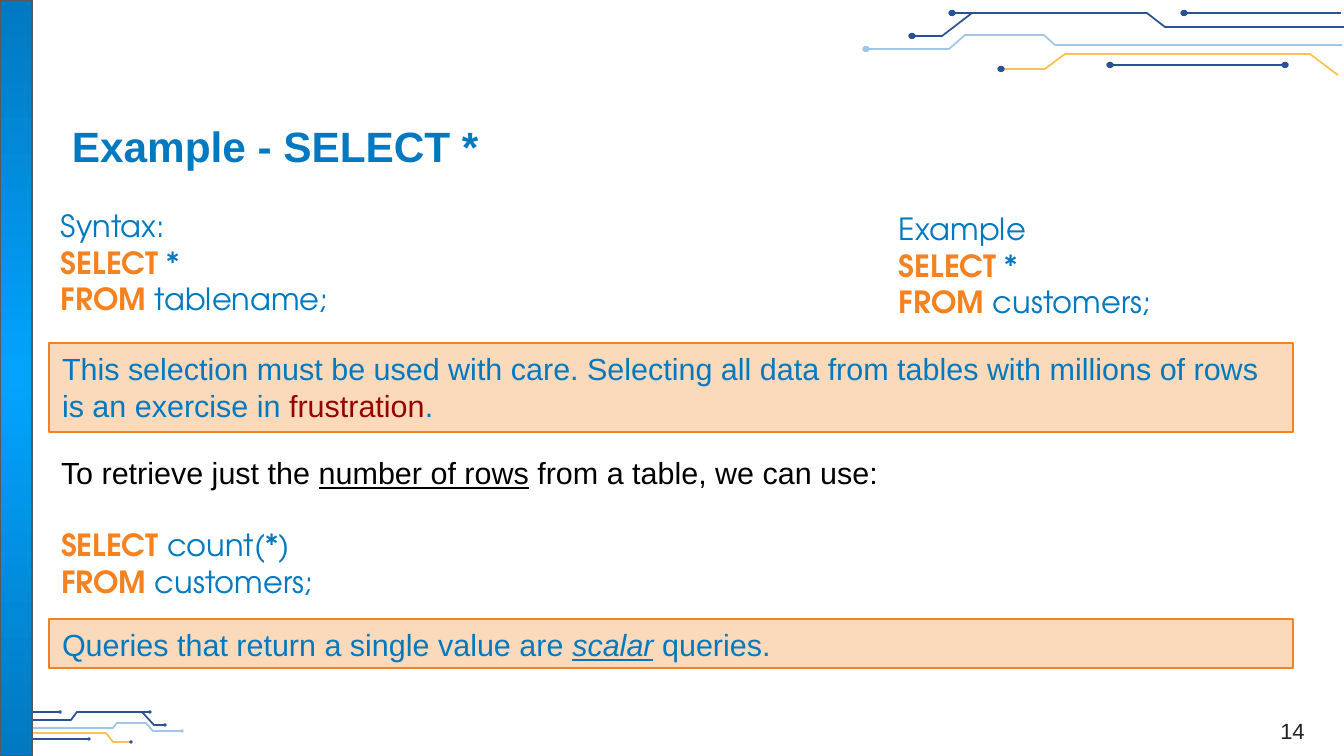
import pptx
import pptx.util
import pptx.dml.color
import pptx.enum.shapes
import pptx.enum.text
import pptx.oxml
import pptx.oxml.ns

PX = 7495  # EMU per px, 122 px to the inch
BLUE, ORANGE, RED, BLACK = "0079C0", "F58220", "980000", "000000"
NAVY, SKY, YELLOW = "285293", "9FC5E8", "FEC14F"
CODE_FONT = "TeX Gyre Adventor"
ANCHOR = pptx.enum.text.MSO_ANCHOR
ALIGN = pptx.enum.text.PP_ALIGN
SHAPE = pptx.enum.shapes.MSO_SHAPE

# Circuit traces: line colour, dot colour, points, dots at both ends or last only
TOP_TRACES = [
    (NAVY, NAVY, [(484, 27), (305, 27), (287, 13), (92, 13)], False),
    (NAVY, NAVY, [(112, 13), (82, 36), (52, 36)], False),
    (NAVY, NAVY, [(481, 13), (324, 13)], False),
    (YELLOW, NAVY, [(478, 75), (450, 54), (205, 54), (185, 69), (141, 69)], False),
    (NAVY, NAVY, [(425, 65), (250, 65)], True),
    (SKY, SKY, [(482, 45), (195, 45), (184, 35), (105, 35), (89, 49), (6, 49)], False),
]
BOTTOM_TRACES = [
    (NAVY, NAVY, [(4, 20), (71, 20), (77, 12), (150, 12)], False),
    (NAVY, NAVY, [(142, 12), (154, 25), (165, 25)], False),
    (NAVY, NAVY, [(0, 12), (60, 12)], False),
    (YELLOW, NAVY, [(1, 44), (12, 33), (106, 33), (113, 42), (131, 42)], False),
    (NAVY, NAVY, [(22, 39), (89, 39)], True),
    (SKY, SKY, [(9, 28), (113, 28), (117, 23), (146, 23), (153, 31), (182, 31)], False),
]


def px(*lengths):
    return [pptx.util.Emu(round(length * PX)) for length in lengths]


def rgb(value):
    return pptx.dml.color.RGBColor.from_string(value)


def set_line(shape, color, width):
    shape.line.color.rgb = rgb(color)
    shape.line.width = pptx.util.Pt(width)


def add_text(paragraph, text, size=18, font="Arial", color=BLUE,
             bold=False, italic=False, underline=False):
    run = paragraph.add_run()
    run.text = text
    run.font.size = pptx.util.Pt(size)
    run.font.name = font
    run.font.color.rgb = rgb(color)
    run.font.bold, run.font.italic, run.font.underline = bold, italic, underline


def set_frame(shape, inset_x, inset_y, anchor=ANCHOR.TOP):
    frame = shape.text_frame
    frame.word_wrap = True
    frame.vertical_anchor = anchor
    frame.margin_left, frame.margin_top = px(inset_x, inset_y)
    frame.margin_right, frame.margin_bottom = px(inset_x, inset_y)
    return frame


def add_text_box(slide, box, inset_x=12, inset_y=6, anchor=ANCHOR.TOP):
    return set_frame(slide.shapes.add_textbox(*px(*box)), inset_x, inset_y, anchor)


def add_circuit(slide, left, top, traces, dot_width, dot_height):
    for color, dot_color, points, both_ends in traces:
        points = [(left + x, top + y) for x, y in points]
        if len(points) == 2:
            trace = slide.shapes.add_connector(
                pptx.enum.shapes.MSO_CONNECTOR.STRAIGHT, *px(*points[0], *points[1]))
            properties = trace._element.spPr
        else:
            builder = slide.shapes.build_freeform(*points[0], scale=PX)
            builder.add_line_segments(points[1:], close=False)
            trace = builder.convert_to_shape()
            trace.fill.background()
            properties = trace._element.spPr
        set_line(trace, color, 1.03)
        properties.append(pptx.oxml.parse_xml(
            f'<a:effectLst {pptx.oxml.ns.nsdecls("a")}/>'))

        # Terminal dots
        for x, y in [points[0], points[-1]] if both_ends else points[-1:]:
            dot = slide.shapes.add_shape(SHAPE.OVAL, *px(
                x - dot_width / 2, y - dot_height / 2, dot_width, dot_height))
            dot.shadow.inherit = False
            dot.fill.solid()
            dot.fill.fore_color.rgb = rgb(dot_color)
            set_line(dot, dot_color, 0.75)


def add_sidebar(slide, box):
    bar = slide.shapes.add_shape(SHAPE.RECTANGLE, *px(*box))
    bar.shadow.inherit = False
    bar.fill.gradient()
    for stop, color in zip(bar.fill.gradient_stops, ("03A3FF", BLUE)):
        stop.color.rgb = rgb(color)
    # Radial gradient from the centre of the bar
    linear = bar._element.spPr.find(".//" + pptx.oxml.ns.qn("a:lin"))
    linear.getparent().replace(linear, pptx.oxml.parse_xml(
        f'<a:path {pptx.oxml.ns.nsdecls("a")} path="circle">'
        '<a:fillToRect l="50000" t="50000" r="50000" b="50000"/></a:path>'))
    set_line(bar, "595959", 0.75)


def add_panel(slide, box, runs):
    panel = slide.shapes.add_shape(SHAPE.RECTANGLE, *px(*box))
    panel.shadow.inherit = False
    panel.fill.solid()
    panel.fill.fore_color.rgb = rgb(ORANGE)
    color = panel._element.spPr.find(".//" + pptx.oxml.ns.qn("a:srgbClr"))
    color.append(pptx.oxml.parse_xml(
        f'<a:alpha {pptx.oxml.ns.nsdecls("a")} val="30000"/>'))
    set_line(panel, ORANGE, 1.5)
    paragraph = set_frame(panel, 13, 7).paragraphs[0]
    paragraph.alignment = ALIGN.LEFT
    for text, style in runs:
        add_text(paragraph, text, **style)


def add_query(slide, box, heading, selection, table, space_before=0, **heading_style):
    frame = add_text_box(slide, box)
    for text, style in heading:
        add_text(frame.paragraphs[0], text, **heading_style, **style)
    for keyword, rest in (("SELECT", selection), ("FROM", table)):
        paragraph = frame.add_paragraph()
        if keyword == "SELECT":
            paragraph.space_before = pptx.util.Pt(space_before)
        add_text(paragraph, keyword, font=CODE_FONT, color=ORANGE, bold=True)
        add_text(paragraph, " " + rest, font=CODE_FONT)


def add_title(slide, box):
    frame = add_text_box(slide, box, 10, 10, ANCHOR.MIDDLE)
    add_text(frame.paragraphs[0], "Example - SELECT *", size=25, bold=True)


def add_page_number(slide, box):
    paragraph = add_text_box(slide, box, 10, 5, ANCHOR.BOTTOM).paragraphs[0]
    paragraph.alignment = ALIGN.CENTER
    add_text(paragraph, "14", size=13, color="222222")


def main():
    presentation = pptx.Presentation()
    presentation.slide_width, presentation.slide_height = px(1344, 756)
    slide = presentation.slides.add_slide(presentation.slide_layouts[6])

    # Decoration
    add_circuit(slide, 0, 700, BOTTOM_TRACES, 2, 2)
    add_circuit(slide, 860, 0, TOP_TRACES, 6, 5)
    add_sidebar(slide, (0, 0, 32, 756))

    # Content
    add_title(slide, (62, 107, 1194, 78))
    add_query(slide, (49, 201, 451, 115), [("Syntax:", {})], "*", "tablename;",
              font=CODE_FONT)
    add_query(slide, (887, 204, 317, 115), [("Example", {})], "*", "customers;",
              font=CODE_FONT)
    add_panel(slide, (49, 343, 1244, 89), [
        ("This selection must be used with care. Selecting all data from tables "
         "with millions of rows is an exercise in ", {}),
        ("frustration", {"color": RED}),
        (".", {}),
    ])
    add_query(slide, (49, 448, 1244, 149), [
        ("To retrieve just the ", {}),
        ("number of rows", {"underline": True}),
        (" from a table, we can use:", {}),
    ], "count(*)", "customers;", space_before=21, color=BLACK)
    add_panel(slide, (49, 619, 1244, 49), [
        ("Queries that return a single value are ", {}),
        ("scalar", {"italic": True, "underline": True}),
        (" queries.", {}),
    ])
    add_page_number(slide, (1250, 689, 85, 60))

    presentation.save("out.pptx")


if __name__ == "__main__":
    main()
